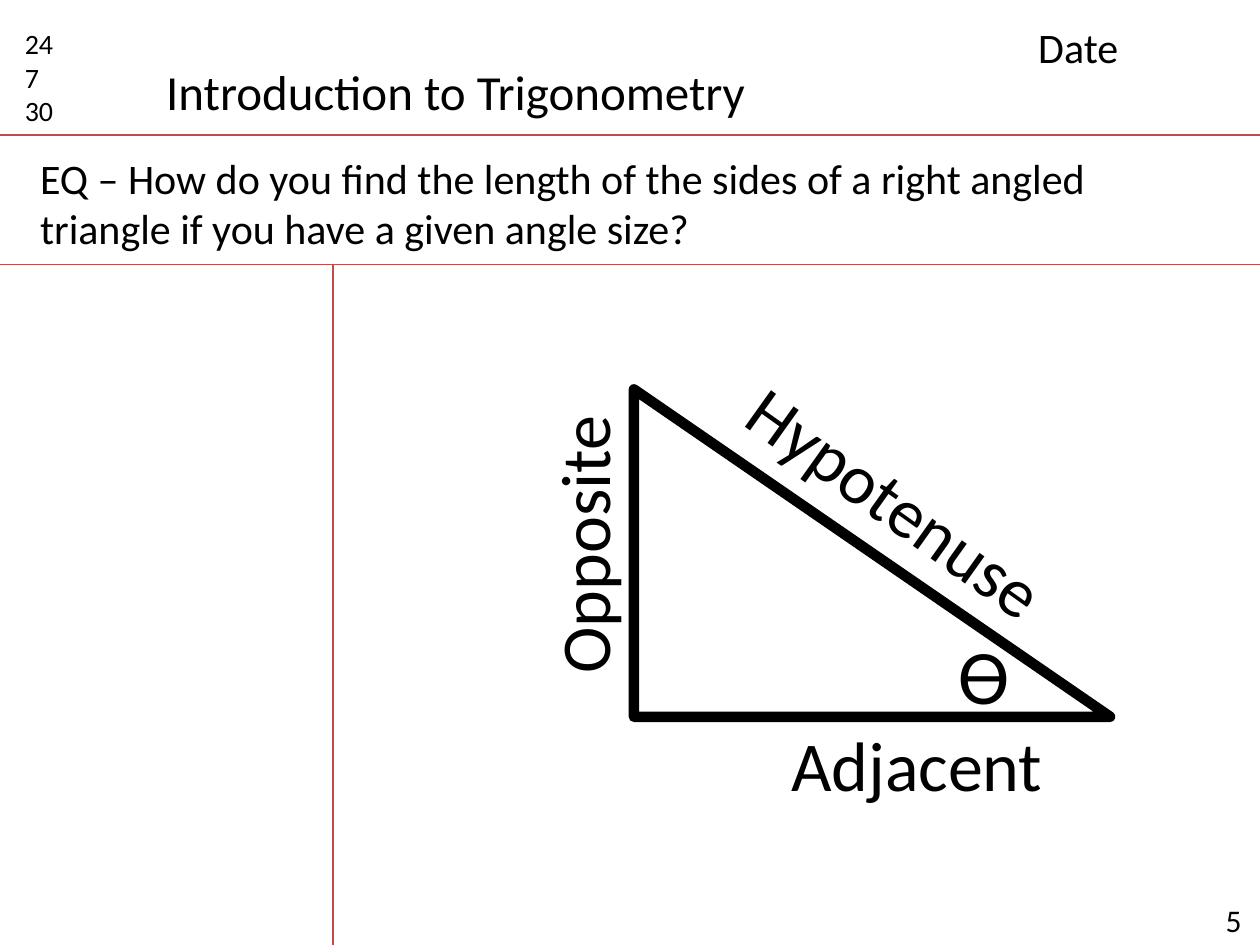
import pptx
import pptx.util
import pptx.dml.color
import pptx.enum.shapes
import pptx.enum.text
import lxml.etree
from dataclasses import dataclass
from pptx.util import Cm


@dataclass(frozen=True)
class Theme:
    font: str = "Calibri"
    ink: str = "000000"
    rule: str = "BF4C48"
    rule_width: float = 0.75
    triangle_width: float = 6
    small: int = 16
    number: int = 18
    body: int = 24
    title: int = 28
    label: int = 40
    angle: int = 44


THEME = Theme()
WIDTH, HEIGHT = 25.4, 19.05
HEADER_BOTTOM, QUESTION_BOTTOM, MARGIN_RIGHT = 2.72, 5.33, 6.71
INSET = 0.25

RULES = [
    (0, HEADER_BOTTOM, WIDTH, HEADER_BOTTOM),
    (0, QUESTION_BOTTOM, WIDTH, QUESTION_BOTTOM),
    (MARGIN_RIGHT, QUESTION_BOTTOM, MARGIN_RIGHT, HEIGHT),
]
TRIANGLE = (12.78, 7.85, 9.6, 6.6)
HEADER_TEXTS = [
    dict(lines=["5"], box=(24.31, 18.03, 1.52, 1.02), size=THEME.number, inset=0.4),
    dict(lines=["24", "7", "30"], box=(0.25, 0.41, 1.6, 2.31), size=THEME.small),
    dict(lines=["Introduction to Trigonometry"], box=(3.1, 1.12, 12.32, 1.45),
         size=THEME.title, wrap=False),
    dict(lines=["Date"], box=(20.68, 0.3, 4.39, 1.27), size=THEME.body),
    dict(lines=["EQ – How do you find the length of the sides of a right angled "
                "triangle if you have a given angle size?"],
         box=(0.56, 2.95, 23.95, 2.31), size=THEME.body),
]
TRIANGLE_TEXTS = [
    dict(lines=["ϴ"], box=(19.08, 12.52, 1.22, 2.13), size=THEME.angle),
    dict(lines=["Adjacent"], box=(15.7, 14.43, 5.64, 1.96), size=THEME.label, wrap=False),
    dict(lines=["Opposite"], box=(8.86, 9.96, 5.77, 1.96), size=THEME.label,
         wrap=False, rotation=270),
    dict(lines=["Hypotenuse"], box=(14.38, 9.14, 7.47, 1.96), size=THEME.label,
         wrap=False, rotation=35.5),
]


def color(value):
    return pptx.dml.color.RGBColor.from_string(value)


def add_child(parent, name):
    namespace = "http://schemas.openxmlformats.org/drawingml/2006/main"
    lxml.etree.SubElement(parent, f"{{{namespace}}}{name}")


def set_line(line, line_color, width):
    line.color.rgb = color(line_color)
    line.width = pptx.util.Pt(width)


def add_rule(slide, ends):
    connector = slide.shapes.add_connector(
        pptx.enum.shapes.MSO_CONNECTOR.STRAIGHT, *map(Cm, ends))
    set_line(connector.line, THEME.rule, THEME.rule_width)
    add_child(connector._element.spPr, "effectLst")


def add_text(slide, lines, box, size, wrap=True, rotation=0, inset=INSET):
    shape = slide.shapes.add_textbox(*map(Cm, box))
    shape.rotation = rotation
    frame = shape.text_frame
    frame.word_wrap = wrap
    frame.auto_size = pptx.enum.text.MSO_AUTO_SIZE.SHAPE_TO_FIT_TEXT
    frame.margin_left = Cm(inset)
    for index, line in enumerate(lines):
        paragraph = frame.add_paragraph() if index else frame.paragraphs[0]
        run = paragraph.add_run()
        run.text = line
        run.font.name = THEME.font
        run.font.size = pptx.util.Pt(size)
        run.font.color.rgb = color(THEME.ink)


def add_triangle(slide):
    shape = slide.shapes.add_shape(
        pptx.enum.shapes.MSO_SHAPE.RIGHT_TRIANGLE, *map(Cm, TRIANGLE))
    shape.shadow.inherit = False
    shape.fill.background()
    set_line(shape.line, THEME.ink, THEME.triangle_width)
    add_child(shape.line._get_or_add_ln(), "round")


def main():
    """Build the trigonometry introduction slide."""
    presentation = pptx.Presentation()
    presentation.slide_width, presentation.slide_height = Cm(WIDTH), Cm(HEIGHT)
    slide = presentation.slides.add_slide(presentation.slide_layouts[6])
    for ends in RULES:
        add_rule(slide, ends)
    for text in HEADER_TEXTS:
        add_text(slide, **text)
    add_triangle(slide)
    for text in TRIANGLE_TEXTS:
        add_text(slide, **text)
    presentation.save("out.pptx")


if __name__ == "__main__":
    main()
